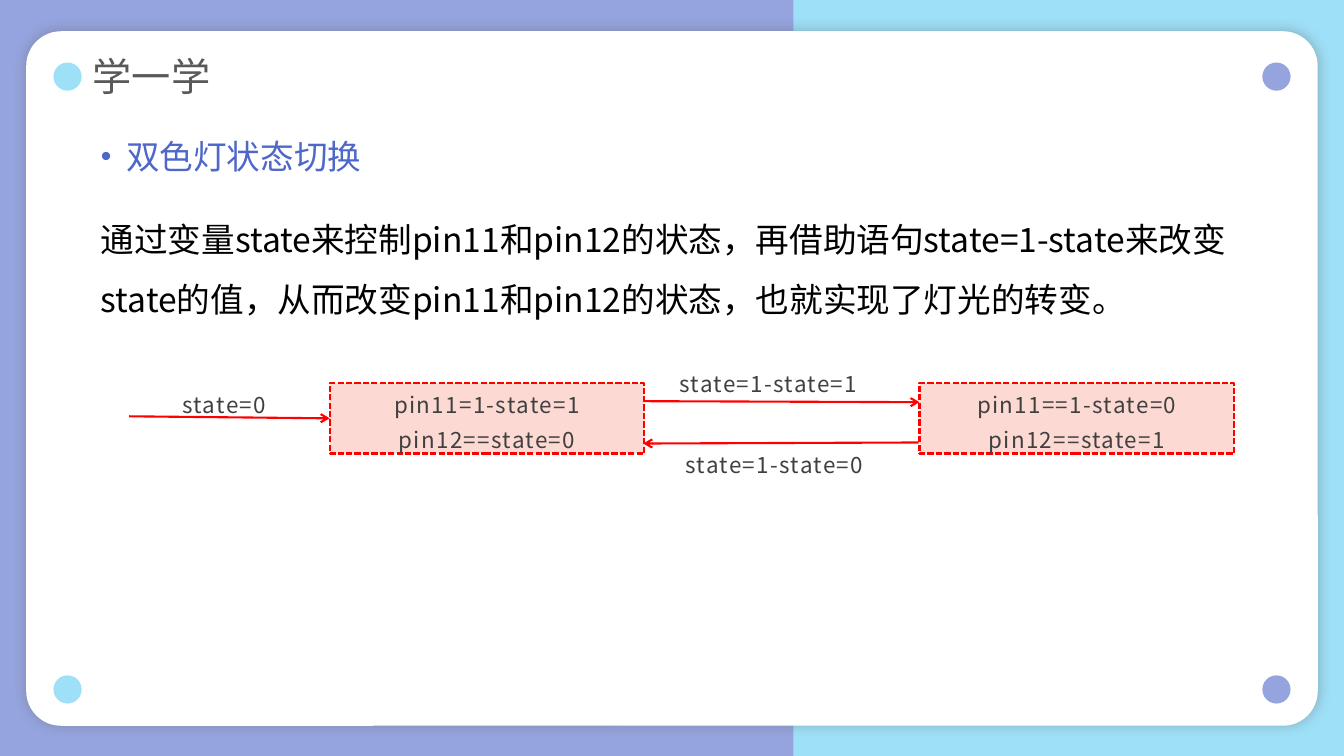
import pptx
import pptx.util
import pptx.dml.color
import pptx.enum.dml
import pptx.enum.shapes
import pptx.enum.text
import pptx.oxml
import pptx.oxml.ns
import lxml.etree

Inches = pptx.util.Inches
Pt = pptx.util.Pt
RGBColor = pptx.dml.color.RGBColor
MSO_SHAPE = pptx.enum.shapes.MSO_SHAPE
ANCHOR = pptx.enum.text.MSO_ANCHOR
qn = pptx.oxml.ns.qn

FONT = "Noto Sans CJK SC"
SKY = RGBColor(0x9E, 0xE0, 0xF8)
LILAC = RGBColor(0x95, 0xA4, 0xDE)
WHITE = RGBColor(0xFF, 0xFF, 0xFF)
GRAY = RGBColor(0x59, 0x59, 0x59)
BLUE = RGBColor(0x4E, 0x67, 0xC8)
BLACK = RGBColor(0, 0, 0)
DARK = RGBColor(0x40, 0x40, 0x40)
RED = RGBColor(0xFF, 0, 0)
PINK = RGBColor(0xFC, 0xD9, 0xD3)

TITLE = "学一学"
TOPIC = "双色灯状态切换"
BODY = ("通过变量state来控制pin11和pin12的状态，再借助语句state=1-state来"
        "改变state的值，从而改变pin11和pin12的状态，也就实现了灯光的转变。")
STATES = [
    (3.27, ["pin11=1-state=1", "pin12==state=0"]),
    (9.12, ["pin11==1-state=0", "pin12==state=1"]),
]
LABELS = [
    (6.74, 3.59, 1.9, "state=1-state=1"),
    (6.8, 4.4, 1.95, "state=1-state=0"),
    (1.81, 3.8, 0.93, "state=0"),
]
ARROWS = [
    (6.39, 3.98, 9.12, 3.99),
    (9.11, 4.39, 6.38, 4.4),
    (1.28, 4.13, 3.27, 4.15),
]
DOTS = [(x, y, color) for y in (0.62, 6.7)
        for x, color in ((0.53, SKY), (12.52, LILAC))]

prs = pptx.Presentation()
prs.slide_width = Inches(13.33)
prs.slide_height = Inches(7.5)
s = prs.slides.add_slide(prs.slide_layouts[6])
s.background.fill.solid()
s.background.fill.fore_color.rgb = SKY


def add_panel(kind, x, y, w, h, color):
    sp = s.shapes.add_shape(kind, Inches(x), Inches(y), Inches(w), Inches(h))
    sp.shadow.inherit = False
    sp.fill.solid()
    sp.fill.fore_color.rgb = color
    sp.line.fill.background()
    return sp


def write(sp, lines, size, color, spacing=None, tracking=None, align=None,
          inset=0.0, anchor=ANCHOR.TOP):
    tf = sp.text_frame
    tf.word_wrap = True
    tf.auto_size = pptx.enum.text.MSO_AUTO_SIZE.SHAPE_TO_FIT_TEXT
    tf.vertical_anchor = anchor
    tf.margin_left = tf.margin_right = 0
    tf.margin_top = tf.margin_bottom = Inches(inset)
    tf.text = "\n".join(lines)
    for p in tf.paragraphs:
        p.alignment = align
        p.line_spacing = spacing
        for r in p.runs:
            r.font.size = Pt(size)
            r.font.name = FONT
            r.font.color.rgb = color
            rpr = r.font._element
            lxml.etree.SubElement(rpr, qn("a:ea")).set("typeface", FONT)
            if tracking:
                rpr.set("spc", str(tracking * 100))
    return tf


def add_text(x, y, w, h, lines, size, color, **style):
    tb = s.shapes.add_textbox(Inches(x), Inches(y), Inches(w), Inches(h))
    return write(tb, lines, size, color, **style)


add_panel(MSO_SHAPE.RECTANGLE, 0, 0, 7.87, 7.5, LILAC)
card = add_panel(MSO_SHAPE.ROUNDED_RECTANGLE, 0.26, 0.31, 12.81, 6.89, WHITE)
card.adjustments[0] = 0.05
effects = card._element.spPr.find(qn("a:effectLst"))
effects.append(pptx.oxml.parse_xml(
    f'<a:outerShdw {pptx.oxml.ns.nsdecls("a")} blurRad="{Pt(9)}" '
    f'dist="{Pt(1)}" dir="0" algn="ctr" rotWithShape="0">'
    f'<a:srgbClr val="{GRAY}"><a:alpha val="36000"/></a:srgbClr></a:outerShdw>'))
for x, y, color in DOTS:
    add_panel(MSO_SHAPE.OVAL, x, y, 0.28, 0.28, color)

add_text(0.92, 0.52, 5.59, 0.53, [TITLE], 28, GRAY, spacing=0.9,
         inset=0.05, anchor=ANCHOR.MIDDLE)
topic = add_text(1, 1.3, 5.59, 0.5, [TOPIC], 24, BLUE,
                 inset=0.05, anchor=ANCHOR.MIDDLE)
ppr = topic.paragraphs[0]._p.get_or_add_pPr()
ppr.set("marL", str(Inches(0.25)))
ppr.set("indent", str(-Inches(0.25)))
lxml.etree.SubElement(ppr, qn("a:buSzPct")).set("val", "90000")
lxml.etree.SubElement(ppr, qn("a:buFont")).set("typeface", "Arial")
lxml.etree.SubElement(ppr, qn("a:buChar")).set("char", "•")
add_text(1, 1.97, 11.16, 1.21, [BODY], 24, BLACK, spacing=1.5)

label_style = dict(size=16, color=DARK, spacing=1.3, tracking=1)
boxes = []
for x, lines in STATES:
    box = add_panel(MSO_SHAPE.RECTANGLE, x, 3.8, 3.12, 0.7, PINK)
    box.line.color.rgb = RED
    box.line.width = Pt(1.5)
    box.line.dash_style = pptx.enum.dml.MSO_LINE.SQUARE_DOT
    write(box, lines, align=pptx.enum.text.PP_ALIGN.CENTER, **label_style)
    boxes.append(box)

for x, y, w, label in LABELS:
    add_text(x, y, w, 0.35, [label], **label_style)

for x1, y1, x2, y2 in ARROWS:
    arrow = s.shapes.add_connector(
        pptx.enum.shapes.MSO_CONNECTOR.STRAIGHT,
        Inches(x1), Inches(y1), Inches(x2), Inches(y2))
    arrow.line.color.rgb = RED
    arrow.line.width = Pt(1.5)
    ln = arrow.line._get_or_add_ln()
    lxml.etree.SubElement(ln, qn("a:tailEnd")).set("type", "arrow")
    lxml.etree.SubElement(arrow._element.spPr, qn("a:effectLst"))
arrow.end_connect(boxes[0], 1)

prs.save("out.pptx")
